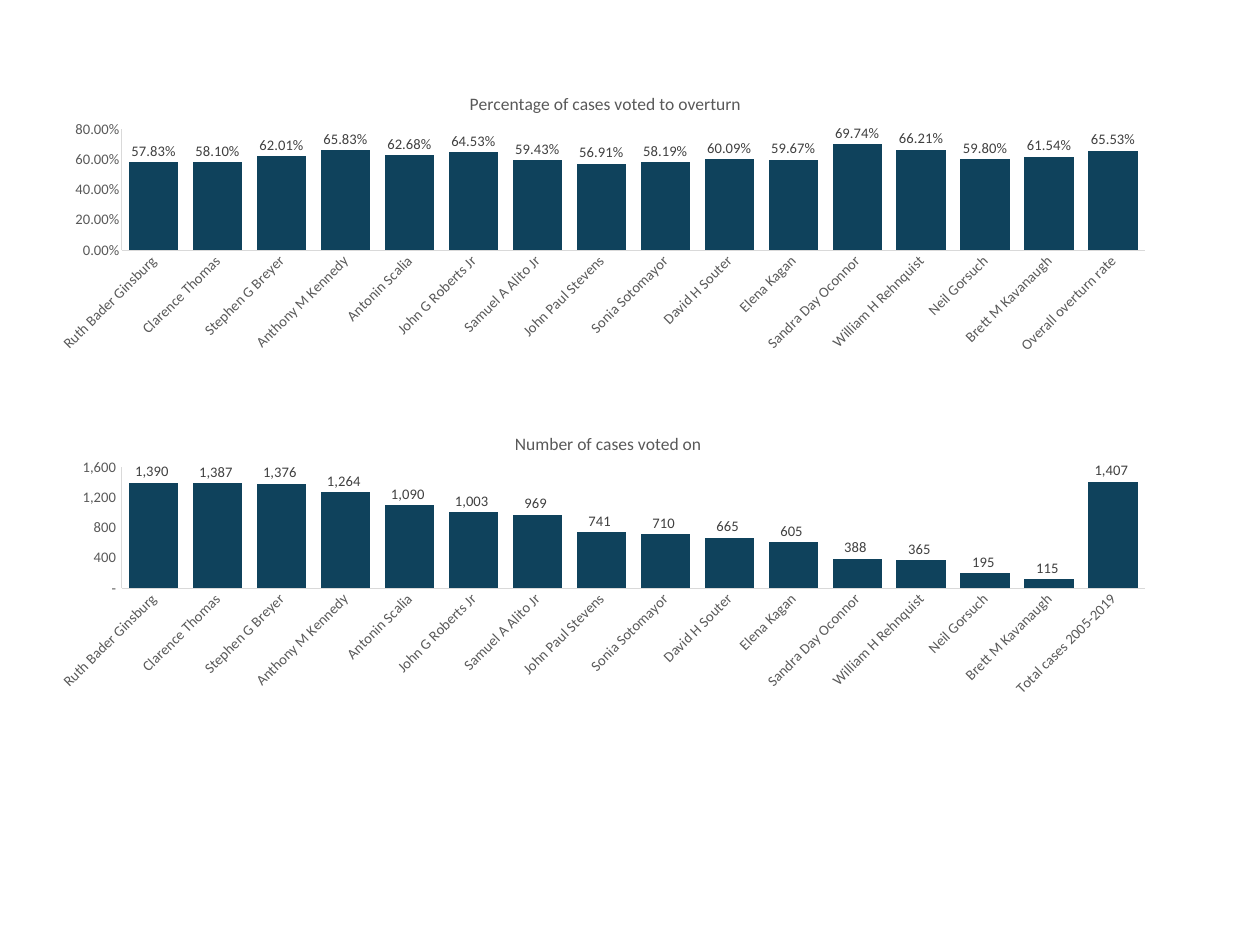
"""Build a slide with two column charts on the votes of Supreme Court justices."""
from lxml import etree
from pptx import Presentation
from pptx.chart.data import CategoryChartData
from pptx.dml.color import RGBColor
from pptx.enum.chart import XL_CHART_TYPE as ChartType, XL_LABEL_POSITION as LabelPosition
from pptx.enum.chart import XL_TICK_MARK as TickMark
from pptx.oxml.ns import qn
from pptx.util import Cm, Pt

JUSTICES = [
    "Ruth Bader Ginsburg", "Clarence Thomas", "Stephen G Breyer", "Anthony M Kennedy",
    "Antonin Scalia", "John G Roberts Jr", "Samuel A Alito Jr", "John Paul Stevens",
    "Sonia Sotomayor", "David H Souter", "Elena Kagan", "Sandra Day Oconnor",
    "William H Rehnquist", "Neil Gorsuch", "Brett M Kavanaugh",
]
CHARTS = [
    {
        "title": "Percentage of cases voted to overturn",
        "total": "Overall overturn rate",
        "values": [0.5783, 0.5810, 0.6201, 0.6583, 0.6268, 0.6453, 0.5943, 0.5691,
                   0.5819, 0.6009, 0.5967, 0.6974, 0.6621, 0.5980, 0.6154, 0.6553],
        "format": "0.00%", "top": 3.61, "max": 0.8, "step": 0.2,
        "title_at": (0.38, 0.05), "plot_top": 0.19,
    },
    {
        "title": "Number of cases voted on",
        "total": "Total cases 2005-2019",
        "values": [1390, 1387, 1376, 1264, 1090, 1003, 969, 741,
                   710, 665, 605, 388, 365, 195, 115, 1407],
        "format": r"#,###_);\(#,###\);\-_)", "top": 20.17, "max": 1600, "step": 400,
        "title_at": (0.42, 0.04), "plot_top": 0.175,
    },
]
COLORS = {"column": "0F425C", "axis": "D9D9D9", "text": "595959", "label": "404040"}
FONT = "Calibri"


def style_font(font, color, size=20):
    font.name, font.size, font.bold = FONT, Pt(size), False
    font.color.rgb = RGBColor.from_string(COLORS[color])


def set_layout(parent, index, **places):
    for old in parent.findall(qn("c:layout")):
        parent.remove(old)
    layout = etree.Element(qn("c:layout"))
    manual = etree.SubElement(layout, qn("c:manualLayout"))
    for tag, value in places.items():
        etree.SubElement(manual, qn(f"c:{tag}")).set("val", str(value))
    parent.insert(index, layout)


def style_axis(axis):
    axis.has_major_gridlines = False
    axis.major_tick_mark = axis.minor_tick_mark = TickMark.NONE
    axis.format.line.color.rgb = RGBColor.from_string(COLORS["axis"])
    axis.format.line.width = Pt(0.75)
    style_font(axis.tick_labels.font, "text")


def add_votes_chart(slide, votes):
    data = CategoryChartData(number_format=votes["format"])
    data.categories = JUSTICES + [votes["total"]]
    data.add_series("Series 1", votes["values"])
    chart = slide.shapes.add_chart(ChartType.COLUMN_CLUSTERED, Cm(1.78), Cm(votes["top"]),
                                   Cm(54.71), Cm(13.84), data).chart
    chart.has_legend = False
    style_font(chart.font, "text")

    heading = chart.chart_title.text_frame.paragraphs[0].add_run()
    heading.text = votes["title"]
    style_font(heading.font, "text", 24)
    title_x, title_y = votes["title_at"]
    area = chart.plots[0]._element.getparent()
    set_layout(area.getparent().find(qn("c:title")), 1,
               xMode="edge", yMode="edge", x=title_x, y=title_y)
    set_layout(area, 0, layoutTarget="inner", xMode="edge", yMode="edge",
               x=0.075, y=votes["plot_top"], w=0.905, h=0.423)

    for axis in (chart.category_axis, chart.value_axis):
        style_axis(axis)
    names = chart.category_axis._element.find(qn("c:txPr"))
    names.find(qn("a:bodyPr")).set("rot", "-2700000")
    scale = chart.value_axis
    scale.minimum_scale, scale.maximum_scale, scale.major_unit = 0, votes["max"], votes["step"]

    columns = chart.plots[0]
    columns.gap_width, columns.overlap, columns.vary_by_categories = 30, -27, False
    fill = columns.series[0].format.fill
    fill.solid()
    fill.fore_color.rgb = RGBColor.from_string(COLORS["column"])
    columns.has_data_labels = True
    labels = columns.data_labels
    labels.show_value, labels.position = True, LabelPosition.OUTSIDE_END
    style_font(labels.font, "label")
    for numbers in (labels, scale.tick_labels):
        numbers.number_format, numbers.number_format_is_linked = votes["format"], False


deck = Presentation()
deck.slide_width, deck.slide_height = Cm(60.96), Cm(45.72)
votes_slide = deck.slides.add_slide(deck.slide_layouts[6])
for votes in CHARTS:
    add_votes_chart(votes_slide, votes)
deck.save("out.pptx")
